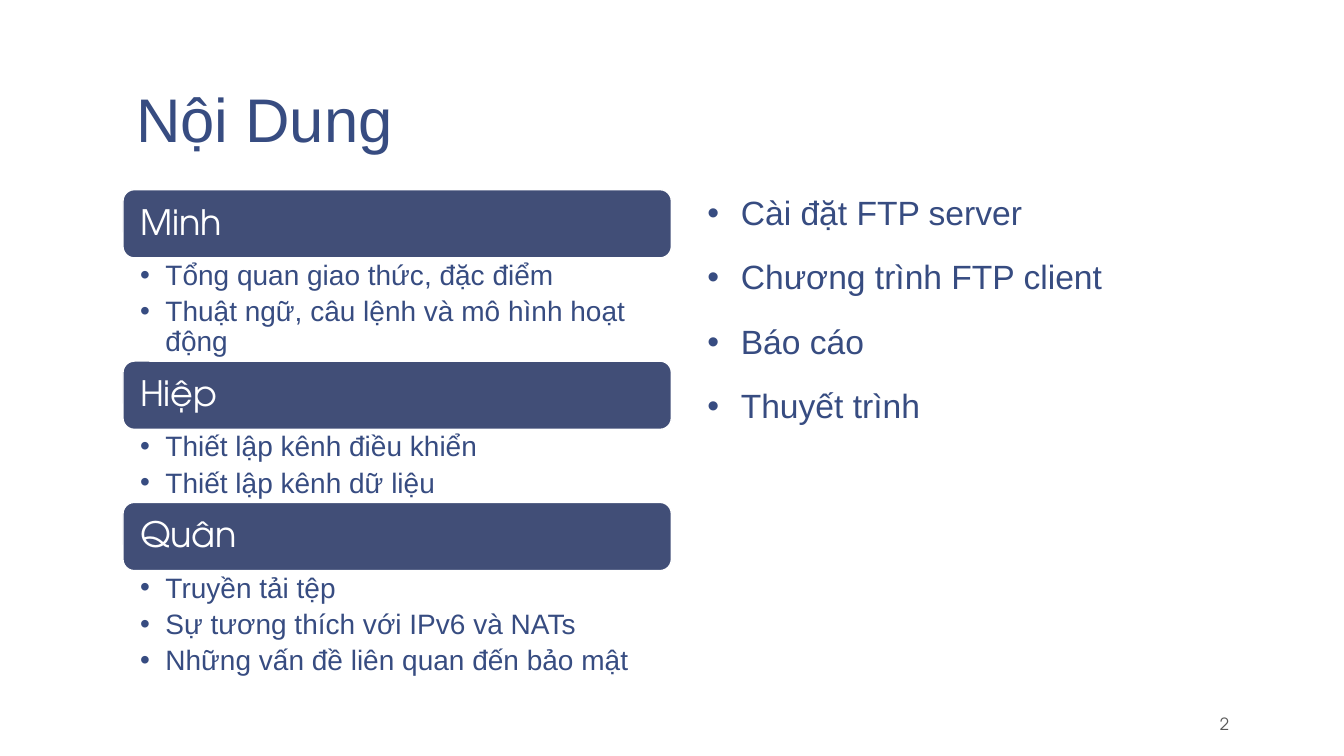
from lxml.etree import SubElement
from pptx import Presentation
from pptx.dml.color import RGBColor as Rgb
from pptx.enum.shapes import MSO_SHAPE as Shape
from pptx.enum.text import MSO_ANCHOR as Anchor, PP_ALIGN as Align
from pptx.oxml.ns import qn
from pptx.util import Cm, Pt

BLUE, BAR, WHITE, GRAY = "374C81", "414E77", "FFFFFF", "595959"
SANS, ROUND = "Arial", "TeX Gyre Adventor"
LEFT, WIDE, BAR_TALL = 3.1, 13.82, 1.72
PAD = (0.33, 0.18, 0.33, 0.18)

TEAM = [
    ("Minh", 2.6, ["Tổng quan giao thức, đặc điểm",
                   "Thuật ngữ, câu lệnh và mô hình hoạt động"]),
    ("Hiệp", 1.84, ["Thiết lập kênh điều khiển", "Thiết lập kênh dữ liệu"]),
    ("Quân", 2.75, ["Truyền tải tệp", "Sự tương thích với IPv6 và NATs",
                    "Những vấn đề liên quan đến bảo mật"]),
]
SHARED = ["Cài đặt FTP server", "Chương trình FTP client", "Báo cáo", "Thuyết trình"]


def color(code):
    return Rgb.from_string(code)


def set_frame(shape, pad, anchor):
    frame = shape.text_frame
    frame.word_wrap = True
    frame.vertical_anchor = anchor
    frame.margin_left, frame.margin_top, frame.margin_right, frame.margin_bottom = map(Cm, pad)
    return frame


def add_run(para, text, size, font, tint):
    run = para.add_run()
    run.text = text
    run.font.size = Pt(size)
    run.font.name = font
    run.font.color.rgb = color(tint)


def add_label(slide, box, text, size, font, tint, align=Align.LEFT):
    shape = slide.shapes.add_textbox(*map(Cm, box))
    para = set_frame(shape, PAD, Anchor.BOTTOM).paragraphs[0]
    para.alignment = align
    para.line_spacing = 0.85
    add_run(para, text, size, font, tint)


def add_bar(slide, top, name):
    bar = slide.shapes.add_shape(Shape.ROUNDED_RECTANGLE, *map(Cm, (LEFT, top, WIDE, BAR_TALL)))
    bar.shadow.inherit = False
    bar.fill.solid()
    bar.fill.fore_color.rgb = color(BAR)
    bar.line.color.rgb = color(WHITE)
    bar.line.width = Pt(1)
    para = set_frame(bar, (0.35, 0.25, 0.35, 0.25), Anchor.MIDDLE).paragraphs[0]
    para.alignment = Align.LEFT
    para.line_spacing = 0.9
    add_run(para, name, 25, ROUND, WHITE)


def add_list(slide, box, items, size, pad, indent, lead, before=0, after=0):
    shape = slide.shapes.add_textbox(*map(Cm, box))
    frame = set_frame(shape, pad, Anchor.TOP)
    for i, item in enumerate(items):
        para = frame.add_paragraph() if i else frame.paragraphs[0]
        para.line_spacing = lead
        para.space_before = Pt(before)
        para.space_after = Pt(after)
        props = para._p.get_or_add_pPr()
        props.set("marL", str(Cm(indent)))
        props.set("indent", str(-Cm(indent)))
        SubElement(props, qn("a:buFont"), typeface=SANS)
        SubElement(props, qn("a:buChar"), char="•")
        add_run(para, item, size, SANS, BLUE)


def main():
    deck = Presentation()
    deck.slide_width, deck.slide_height = Cm(33.87), Cm(19.05)
    slide = deck.slides.add_slide(deck.slide_layouts[6])
    add_label(slide, (LEFT, 0.2, 28.22, 3.89), "Nội Dung", 44, SANS, BLUE)
    top = 4.78
    for name, tall, tasks in TEAM:
        add_bar(slide, top, name)
        top += BAR_TALL
        add_list(slide, (LEFT, top, WIDE, tall), tasks, 20,
                 (0.43, 0.08, 0.48, 0.08), 0.64, 0.9, after=4.3)
        top += tall
    add_list(slide, (17.5, 4.72, WIDE, 12.42), SHARED, 24, PAD, 0.84, 0.95, before=18.7)
    add_label(slide, (28.24, 17.78, 3.07, 0.89), "2", 12, ROUND, GRAY, Align.RIGHT)
    deck.save("out.pptx")


if __name__ == "__main__":
    main()
